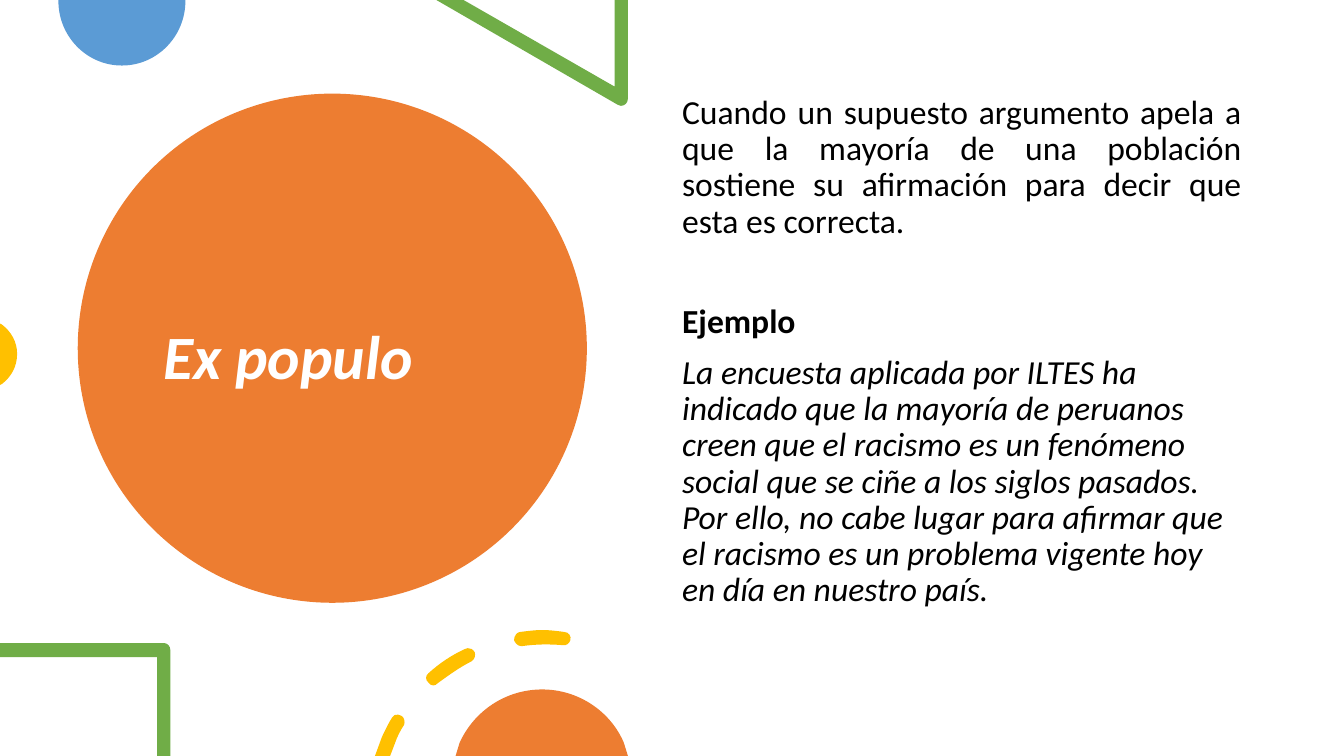
from pptx import Presentation
from pptx.dml.color import RGBColor
from pptx.enum.shapes import MSO_SHAPE
from pptx.enum.text import MSO_ANCHOR, PP_ALIGN
from pptx.oxml.ns import qn
from pptx.util import Cm, Pt

OVAL = MSO_SHAPE.OVAL
TOP, MIDDLE = MSO_ANCHOR.TOP, MSO_ANCHOR.MIDDLE
LEFT, JUSTIFY = PP_ALIGN.LEFT, PP_ALIGN.JUSTIFY

ORANGE = RGBColor(0xED, 0x7D, 0x31)
BLUE = RGBColor(0x5B, 0x9B, 0xD5)
GREEN = RGBColor(0x70, 0xAD, 0x47)
GOLD = RGBColor(0xFF, 0xC0, 0x00)
WHITE = RGBColor(0xFF, 0xFF, 0xFF)
BLACK = RGBColor(0x00, 0x00, 0x00)

UNIT = Cm(0.0254)  # grid step of the outlines below

# Outlines: a pair is a corner, six numbers are a Bézier curve
DISC = [(184, 0), (58, 0), (58, 1), (58, 36, 86, 65, 121, 65),
        (156, 65, 184, 36, 184, 1)]
WEDGE = [(623, 0), (610, 0), (610, 86), (460, 0), (433, 0), (613, 104),
         (614, 105, 615, 105, 616, 105), (620, 105, 623, 102, 623, 98)]
DOT = [(0, 321), (0, 382), (2, 381), (11, 374, 17, 364, 17, 351),
       (17, 339, 11, 329, 2, 322)]
FRAME = [(163, 638), (0, 638), (0, 652), (156, 652), (156, 750), (169, 750),
         (169, 645), (169, 641, 166, 638, 163, 638)]
DASHES = [
    [(395, 709), (393, 708, 390, 710, 389, 712),
     (385, 718, 382, 725, 379, 731), (372, 750), (387, 750), (392, 737),
     (394, 731, 397, 725, 401, 719), (402, 716, 401, 711, 398, 710),
     (397, 709, 396, 709, 395, 709)],
    [(464, 643), (463, 643, 462, 643, 461, 644),
     (448, 650, 436, 658, 425, 668), (422, 670, 422, 675, 425, 677),
     (426, 679, 428, 680, 430, 680), (432, 680, 433, 679, 434, 678),
     (445, 670, 456, 662, 468, 656), (471, 654, 472, 650, 471, 647),
     (469, 644, 467, 643, 464, 643)],
    [(538, 625), (531, 625, 524, 626, 516, 627),
     (513, 627, 510, 631, 510, 635), (511, 638, 514, 641, 517, 641),
     (518, 641, 518, 641, 518, 641), (532, 639, 545, 639, 558, 640),
     (562, 641, 565, 638, 566, 635), (567, 631, 564, 627, 560, 627),
     (553, 626, 545, 625, 538, 625)],
]
DOME = [(538, 684), (501, 684, 470, 706, 456, 737), (452, 750), (623, 750),
        (619, 737), (606, 706, 574, 684, 538, 684)]

TITLE = {"size": Pt(44), "bold": True, "italic": True}
BODY = {"size": Pt(24), "bold": False, "italic": False}


def paint(shape, color):
    shape.shadow.inherit = False
    shape.fill.solid()
    shape.fill.fore_color.rgb = color
    shape.line.fill.background()


def flatten(path):
    """List the corners and curve handles of an outline in order."""
    return [pair for step in path for pair in zip(step[::2], step[1::2])]


def bend(shape, paths):
    """Merge the three lines drawn for each curve into one Bézier."""
    lines = iter(list(shape.element.iter(qn("a:lnTo"))))
    for path in paths:
        for step in path[1:]:
            curve = next(lines)
            if len(step) == 2:
                continue
            curve.tag = qn("a:cubicBezTo")
            for _ in range(2):
                line = next(lines)
                curve.append(line[0])
                line.getparent().remove(line)


def add_form(slide, paths, color):
    first, *rest = map(flatten, paths)
    form = slide.shapes.build_freeform(*first[0], scale=float(UNIT))
    form.add_line_segments(first[1:], close=True)
    for points in rest:
        form.move_to(*points[0])
        form.add_line_segments(points[1:], close=True)
    shape = form.convert_to_shape()
    bend(shape, paths)
    paint(shape, color)


def add_disc(slide, x, y, size, color):
    disc = slide.shapes.add_shape(OVAL, Cm(x), Cm(y), Cm(size), Cm(size))
    paint(disc, color)


def add_text(slide, box, anchor, color, parts):
    """Each part is text, alignment, space before and font values."""
    frame = slide.shapes.add_textbox(*map(Cm, box)).text_frame
    frame.word_wrap = True
    frame.vertical_anchor = anchor
    for i, (text, align, gap, style) in enumerate(parts):
        para = frame.add_paragraph() if i else frame.paragraphs[0]
        para.alignment = align
        para.line_spacing = 0.9
        para.space_before = Pt(gap)
        run = para.add_run()
        run.text = text
        run.font.color.rgb = color
        for key, value in {"name": "Calibri", **style}.items():
            setattr(run.font, key, value)


def main():
    deck = Presentation()
    deck.slide_width, deck.slide_height = Cm(33.87), Cm(19.05)
    slide = deck.slides.add_slide(deck.slide_layouts[6])

    # Title on its disc
    add_disc(slide, 1.96, 2.36, 12.83, ORANGE)
    add_text(slide, (3.86, 3.41, 8.99, 11.3), MIDDLE, WHITE,
             [("Ex populo", LEFT, 0, TITLE)])

    # Ornaments along the edges
    for paths, color in (([DISC], BLUE), ([WEDGE], GREEN), ([DOT], GOLD),
                         ([FRAME], GREEN), (DASHES, GOLD), ([DOME], ORANGE)):
        add_form(slide, paths, color)

    # Definition and example
    add_text(slide, (16.94, 2.28, 14.6, 13.59), TOP, BLACK, [
        ("Cuando un supuesto argumento apela a que la mayoría de una "
         "población sostiene su afirmación para decir que esta es correcta.",
         JUSTIFY, 0, BODY),
        ("Ejemplo", LEFT, 46, {**BODY, "bold": True}),
        ("La encuesta aplicada por ILTES ha indicado que la mayoría de "
         "peruanos creen que el racismo es un fenómeno social que se ciñe a "
         "los siglos pasados. Por ello, no cabe lugar para afirmar que el "
         "racismo es un problema vigente hoy en día en nuestro país.",
         LEFT, 10, {**BODY, "italic": True}),
    ])
    deck.save("out.pptx")


if __name__ == "__main__":
    main()
